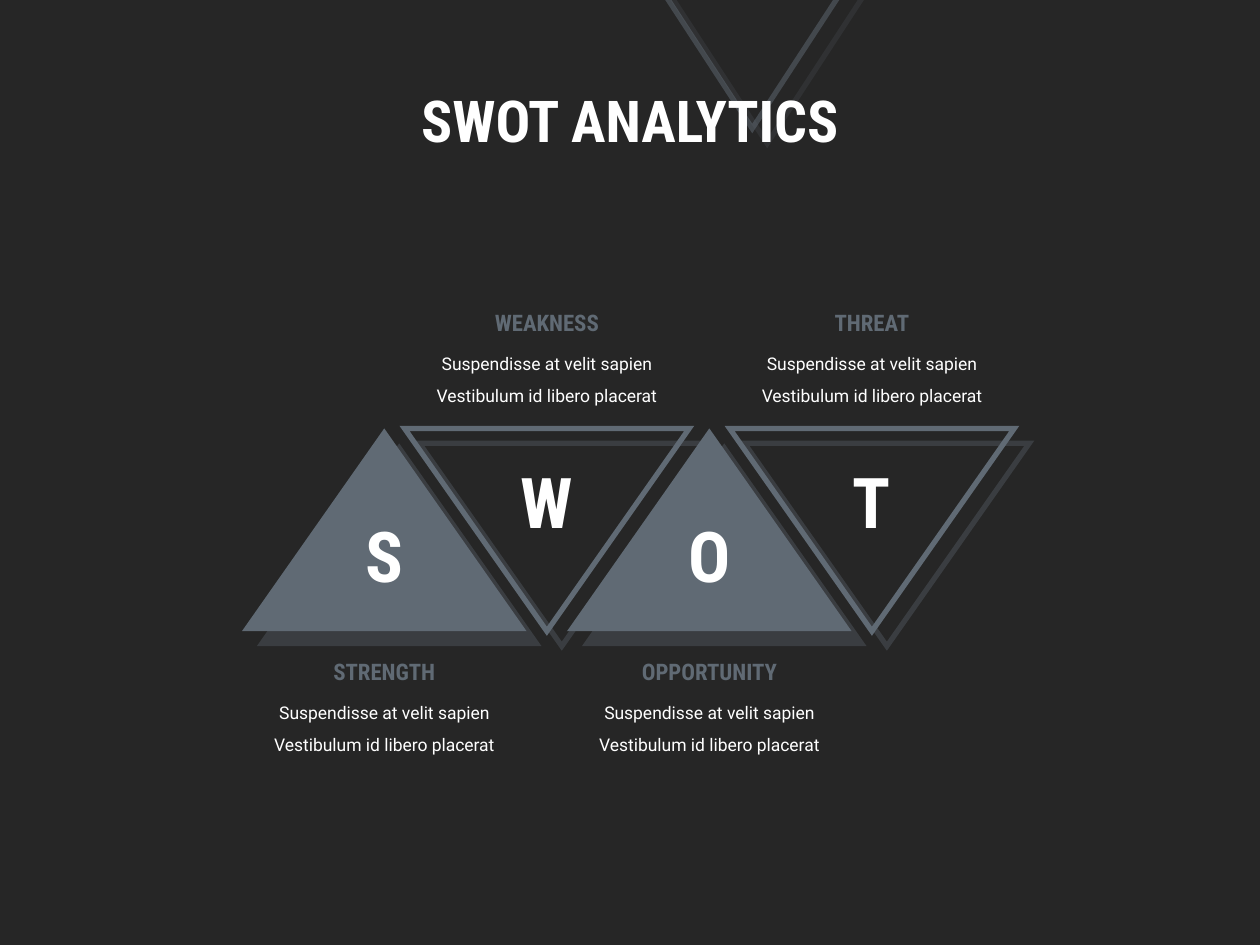
from dataclasses import dataclass

from lxml import etree
from pptx import Presentation
from pptx.dml.color import RGBColor
from pptx.enum.shapes import MSO_SHAPE
from pptx.enum.text import MSO_ANCHOR, MSO_AUTO_SIZE, PP_ALIGN
from pptx.oxml.ns import qn
from pptx.util import Inches, Pt

TRIANGLE = MSO_SHAPE.ISOSCELES_TRIANGLE
CENTER = PP_ALIGN.CENTER
MIDDLE = MSO_ANCHOR.MIDDLE
GROW = MSO_AUTO_SIZE.SHAPE_TO_FIT_TEXT
NO_AUTOFIT = MSO_AUTO_SIZE.NONE

DARK = RGBColor(0x26, 0x26, 0x26)
SLATE = RGBColor(0x60, 0x6A, 0x74)
WHITE = RGBColor(0xFF, 0xFF, 0xFF)
HEADING_FONT = "Roboto Condensed"
BODY_FONT = "Roboto"

# Grid in inches: one column per letter, measured between triangle centres
FIRST_CENTER = 3.05
COLUMN = 1.29
TRIANGLE_TOP = 3.4
TRIANGLE_SIZE = (2.26, 1.61)
LETTER_SIZE = (0.76, 0.77)
HEADING_SIZE = (1.84, 0.32)
DETAIL_SIZE = (2.23, 0.6)
DETAIL_DROP = 0.27
DETAIL = "Suspendisse at velit sapien Vestibulum id libero placerat"


@dataclass(frozen=True)
class Direction:
    """Look and row positions shared by triangles pointing the same way."""
    inverted: bool
    letter_top: float
    heading_top: float


@dataclass(frozen=True)
class Factor:
    heading: str
    direction: Direction


UP = Direction(inverted=False, letter_top=4.02, heading_top=5.17)
DOWN = Direction(inverted=True, letter_top=3.59, heading_top=2.4)
FACTORS = [
    Factor("STRENGTH", UP),
    Factor("WEAKNESS", DOWN),
    Factor("OPPORTUNITY", UP),
    Factor("THREAT", DOWN),
]


def centered(center: float, top: float, size: tuple[float, float]) -> list[int]:
    width, height = size
    return [Inches(value) for value in (center - width / 2, top, width, height)]


def set_alpha(color_parent, percent: int) -> None:
    color = color_parent.find(".//" + qn("a:srgbClr"))
    etree.SubElement(color, qn("a:alpha"), val=str(percent * 1000))


def add_shadow(shape) -> None:
    """Add a hard slate shadow falling to the lower right."""
    shape.shadow.inherit = False
    effects = shape.element.spPr.find(qn("a:effectLst"))
    shadow = etree.SubElement(
        effects, qn("a:outerShdw"), blurRad="0", dist=str(Pt(12.1)),
        dir=str(45 * 60000), algn="ctr", rotWithShape="0")
    etree.SubElement(shadow, qn("a:srgbClr"), val=str(SLATE))
    set_alpha(shadow, 35)


def add_triangle(page, center: float, top: float, size: tuple[float, float],
                 inverted: bool, line_opacity: int = 100) -> None:
    """Draw a filled upright triangle or an outlined inverted one."""
    triangle = page.shapes.add_shape(TRIANGLE, *centered(center, top, size))
    if inverted:
        triangle.rotation = 180
        triangle.fill.background()
        triangle.line.color.rgb = SLATE
        triangle.line.width = Pt(3)
        outline = triangle.element.spPr.find(qn("a:ln"))
        etree.SubElement(outline, qn("a:miter"), lim="800000")
        if line_opacity < 100:
            set_alpha(outline, line_opacity)
    else:
        triangle.fill.solid()
        triangle.fill.fore_color.rgb = SLATE
        triangle.line.fill.background()
    add_shadow(triangle)


def write(box, text: str, *, size: float, font: str = HEADING_FONT,
          color: RGBColor = WHITE, bold: bool = True,
          spacing: float = 1.0, autosize=GROW) -> None:
    frame = box.text_frame
    frame.word_wrap = True
    frame.auto_size = autosize
    para = frame.paragraphs[0]
    para.alignment = CENTER
    para.line_spacing = spacing
    span = para.add_run()
    span.text = text
    span.font.name = font
    span.font.size = Pt(size)
    span.font.bold = bold
    span.font.color.rgb = color


def add_title(page, text: str) -> None:
    title = page.shapes.title
    title.left, title.top, title.width, title.height = centered(5, 0.49, (5.1, 0.98))
    title.text_frame.vertical_anchor = MIDDLE
    write(title, text, size=33, spacing=0.9, autosize=NO_AUTOFIT)


def add_factor_text(page, center: float, factor: Factor) -> None:
    rows = factor.direction

    def add_box(top: float, size: tuple[float, float]):
        return page.shapes.add_textbox(*centered(center, top, size))

    write(add_box(rows.letter_top, LETTER_SIZE), factor.heading[0], size=40)
    write(add_box(rows.heading_top + DETAIL_DROP, DETAIL_SIZE), DETAIL,
          size=10, font=BODY_FONT, bold=False, spacing=1.5)
    write(add_box(rows.heading_top, HEADING_SIZE), factor.heading,
          size=13, color=SLATE)


def main() -> None:
    deck = Presentation()
    deck.slide_width, deck.slide_height = Inches(10), Inches(7.5)
    page = deck.slides.add_slide(deck.slide_layouts.get_by_name("Title Only"))
    page.background.fill.solid()
    page.background.fill.fore_color.rgb = DARK

    add_title(page, "SWOT ANALYTICS")
    add_triangle(page, 5.97, -0.16, (1.54, 1.18), inverted=True, line_opacity=50)
    # The title sits in front of the corner triangle
    page.shapes.title.element.getparent().append(page.shapes.title.element)

    centers = [FIRST_CENTER + COLUMN * index for index in range(len(FACTORS))]
    for center, factor in zip(centers, FACTORS):
        add_triangle(page, center, TRIANGLE_TOP, TRIANGLE_SIZE,
                     factor.direction.inverted)
    for center, factor in zip(centers, FACTORS):
        add_factor_text(page, center, factor)

    deck.save("out.pptx")


if __name__ == "__main__":
    main()
